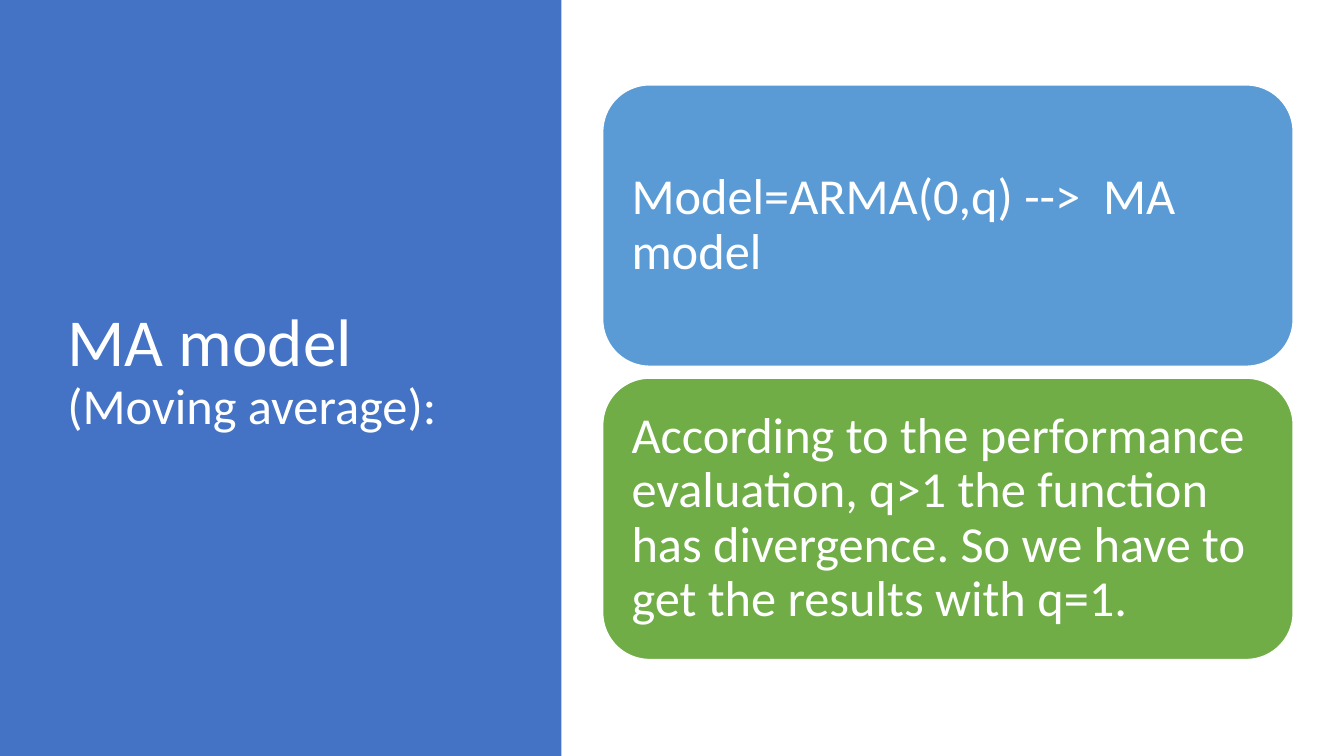
"""Build the slide on the MA (moving average) model."""
from pptx import Presentation
from pptx.dml.color import RGBColor
from pptx.enum.shapes import MSO_SHAPE
from pptx.enum.text import MSO_ANCHOR, PP_ALIGN
from pptx.util import Cm, Pt

COLORS = {"panel": "4472C4", "blue": "5B9BD5", "green": "70AD47", "white": "FFFFFF"}
TITLE = [("MA model ", 48), ("(Moving average):", 36)]
CARDS = [
    ("Model=ARMA(0,q) -->  MA model", "blue"),
    (
        "According to the performance evaluation, q>1 the function has divergence. "
        "So we have to get the results with q=1.",
        "green",
    ),
]
SLIDE_WIDTH, SLIDE_HEIGHT = 33.87, 19.05
PANEL_WIDTH = 14.15
CARD_LEFT, CARD_WIDTH, CARD_HEIGHT, CARD_GAP = 15.19, 17.4, 7.09, 0.3
TITLE_BOX = (1.45, 1.73, 10.57, 15.29)


def add_panel(page, kind, left, top, width, height, color):
    shape = page.shapes.add_shape(kind, Cm(left), Cm(top), Cm(width), Cm(height))
    shape.shadow.inherit = False
    shape.fill.solid()
    shape.fill.fore_color.rgb = RGBColor.from_string(COLORS[color])
    shape.line.fill.background()
    return shape


def write(shape, spans, margin):
    frame = shape.text_frame
    layout = {"word_wrap": True, "vertical_anchor": MSO_ANCHOR.MIDDLE}
    layout.update({f"margin_{side}": Cm(margin) for side in ("left", "right", "top", "bottom")})
    for name, value in layout.items():
        setattr(frame, name, value)
    para = frame.paragraphs[0]
    para.alignment = PP_ALIGN.LEFT
    para.line_spacing = 0.9
    for text, size in spans:
        span = para.add_run()
        span.text = text
        for name, value in {"name": "Calibri", "size": Pt(size)}.items():
            setattr(span.font, name, value)
        span.font.color.rgb = RGBColor.from_string(COLORS["white"])


def main():
    deck = Presentation()
    deck.slide_width, deck.slide_height = Cm(SLIDE_WIDTH), Cm(SLIDE_HEIGHT)
    page = deck.slides.add_slide(deck.slide_layouts[6])

    add_panel(page, MSO_SHAPE.RECTANGLE, 0, 0, PANEL_WIDTH, SLIDE_HEIGHT, "panel")
    box = page.shapes.add_textbox(*(Cm(length) for length in TITLE_BOX))
    write(box, TITLE, 0.25)

    pitch = CARD_HEIGHT + CARD_GAP
    first_top = 2.14
    for index, (text, color) in enumerate(CARDS):
        card = add_panel(page, MSO_SHAPE.ROUNDED_RECTANGLE, CARD_LEFT,
                         first_top + index * pitch, CARD_WIDTH, CARD_HEIGHT, color)
        card.line.color.rgb = RGBColor.from_string(COLORS["white"])
        card.line.width = Pt(1)
        write(card, [(text, 36)], 0.38)

    deck.save("out.pptx")


if __name__ == "__main__":
    main()
